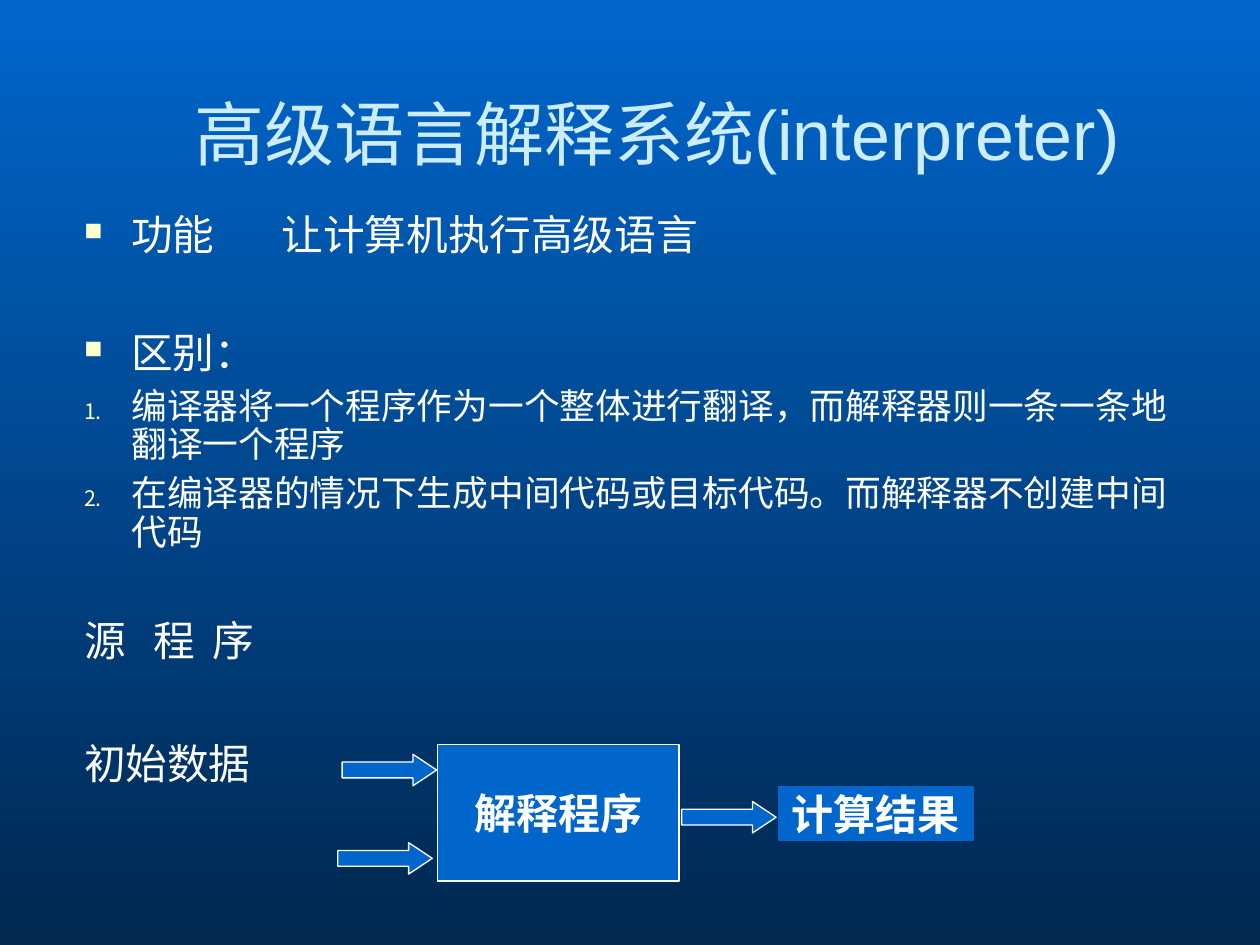
from lxml.etree import SubElement
from pptx import Presentation
from pptx.dml.color import RGBColor
from pptx.enum.shapes import MSO_SHAPE as Shape
from pptx.enum.text import MSO_ANCHOR as Anchor, PP_ALIGN as Align
from pptx.oxml.ns import qn
from pptx.util import Pt

BLUE = RGBColor(0x00, 0x66, 0xCC)
NAVY = RGBColor(0x00, 0x28, 0x50)
WHITE = RGBColor(0xFF, 0xFF, 0xFF)
PALE = RGBColor(0xCC, 0xEC, 0xFF)
CREAM = RGBColor(0xFF, 0xFF, 0xCC)

HANG = 27
DOT = ("a:buChar", {"char": "■"})
NUM = ("a:buAutoNum", {"type": "arabicPeriod"})

# text, font, size, space before, line spacing, bullet, tab stops
BODY = [
    ("功能\t让计算机执行高级语言", "DejaVu Sans", 23.8, 0, 1, DOT, [113]),
    ("区别：", "Lato", 23.8, 42, 0.9, DOT, []),
    ("编译器将一个程序作为一个整体进行翻译，而解释器则一条一条地翻译一个程序",
     "Lato", 20.4, 6, 0.9, NUM, []),
    ("在编译器的情况下生成中间代码或目标代码。而解释器不创建中间代码",
     "Lato", 20.4, 6, 0.9, NUM, []),
    ("源\t程\t序", "DejaVu Sans", 23.8, 35, 1, None, [39.5, 73.5]),
    ("初始数据", "DejaVu Sans", 23.8, 42, 1, None, []),
]
BOXES = [
    ("解释程序", 250, 425.5, 138, 78, WHITE),
    ("计算结果", 445, 449.5, 111, 31, BLUE),
]
ARROWS = [(195.5, 431), (193, 481.5), (389.5, 458)]


def set_font(para, name, size, color, bold=False):
    font = para.font
    font.name, font.size, font.bold = name, Pt(size), bold
    font.color.rgb = color


def add_bullet(para, bullet):
    props = para._p.get_or_add_pPr()
    props.set("marL", str(Pt(HANG)))
    props.set("indent", str(Pt(-HANG)))
    color = SubElement(props, qn("a:buClr"))
    SubElement(color, qn("a:srgbClr"), val=str(CREAM))
    SubElement(props, qn("a:buSzPct"), val="60000")
    tag, attrs = bullet
    SubElement(props, qn(tag), attrs)


def add_tabs(para, stops):
    tabs = SubElement(para._p.get_or_add_pPr(), qn("a:tabLst"))
    for stop in stops:
        SubElement(tabs, qn("a:tab"), pos=str(Pt(stop)), algn="l")


def add_frame(slide, left, top, width, height):
    box = slide.shapes.add_textbox(Pt(left), Pt(top), Pt(width), Pt(height))
    box.text_frame.word_wrap = True
    return box.text_frame


def add_title(slide, text):
    frame = add_frame(slide, 54, 48, 643, 55.5)
    frame.vertical_anchor = Anchor.MIDDLE
    para = frame.paragraphs[0]
    para.text, para.alignment = text, Align.CENTER
    set_font(para, "Arial", 40, PALE)


def add_body(slide):
    frame = add_frame(slide, 41, 116, 637, 361.5)
    for i, (text, name, size, before, lines, bullet, stops) in enumerate(BODY):
        para = frame.add_paragraph() if i else frame.paragraphs[0]
        para.text = text
        if bullet:
            add_bullet(para, bullet)
        if stops:
            add_tabs(para, stops)
        para.space_before, para.line_spacing = Pt(before), lines
        set_font(para, name, size, WHITE)


def add_block(slide, kind, left, top, width, height, line):
    block = slide.shapes.add_shape(
        kind, Pt(left), Pt(top), Pt(width), Pt(height))
    block.shadow.inherit = False
    block.fill.solid()
    block.fill.fore_color.rgb = BLUE
    block.line.color.rgb = line
    block.line.width = Pt(0.75)
    return block


def add_box(slide, text, left, top, width, height, line):
    box = add_block(slide, Shape.RECTANGLE, left, top, width, height, line)
    frame = box.text_frame
    frame.word_wrap = False
    frame.vertical_anchor = Anchor.MIDDLE
    para = frame.paragraphs[0]
    para.text, para.alignment = text, Align.CENTER
    set_font(para, "Times New Roman", 24, WHITE, bold=True)


def add_arrow(slide, left, top):
    arrow = add_block(slide, Shape.RIGHT_ARROW, left, top, 54, 18, WHITE)
    arrow.adjustments[0] = 0.5
    arrow.adjustments[1] = 0.75


def paint_back(slide):
    fill = slide.background.fill
    fill.gradient()
    fill.gradient_angle = 270
    for stop, color in zip(fill.gradient_stops, (BLUE, NAVY)):
        stop.color.rgb = color


def main():
    deck = Presentation()
    deck.slide_width, deck.slide_height = Pt(720), Pt(540)
    slide = deck.slides.add_slide(deck.slide_layouts[6])
    paint_back(slide)
    add_title(slide, "高级语言解释系统(interpreter)")
    add_body(slide)
    for box in BOXES:
        add_box(slide, *box)
    for arrow in ARROWS:
        add_arrow(slide, *arrow)
    deck.save("out.pptx")


if __name__ == "__main__":
    main()
